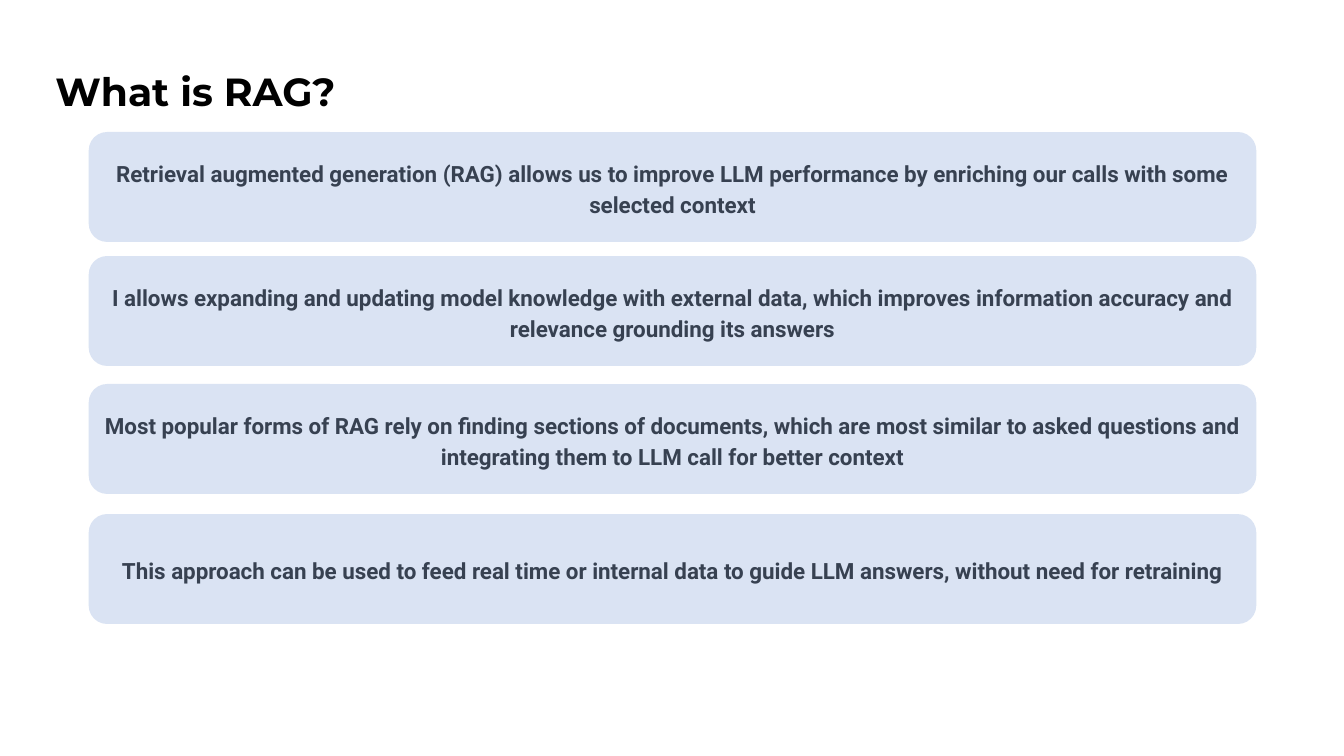
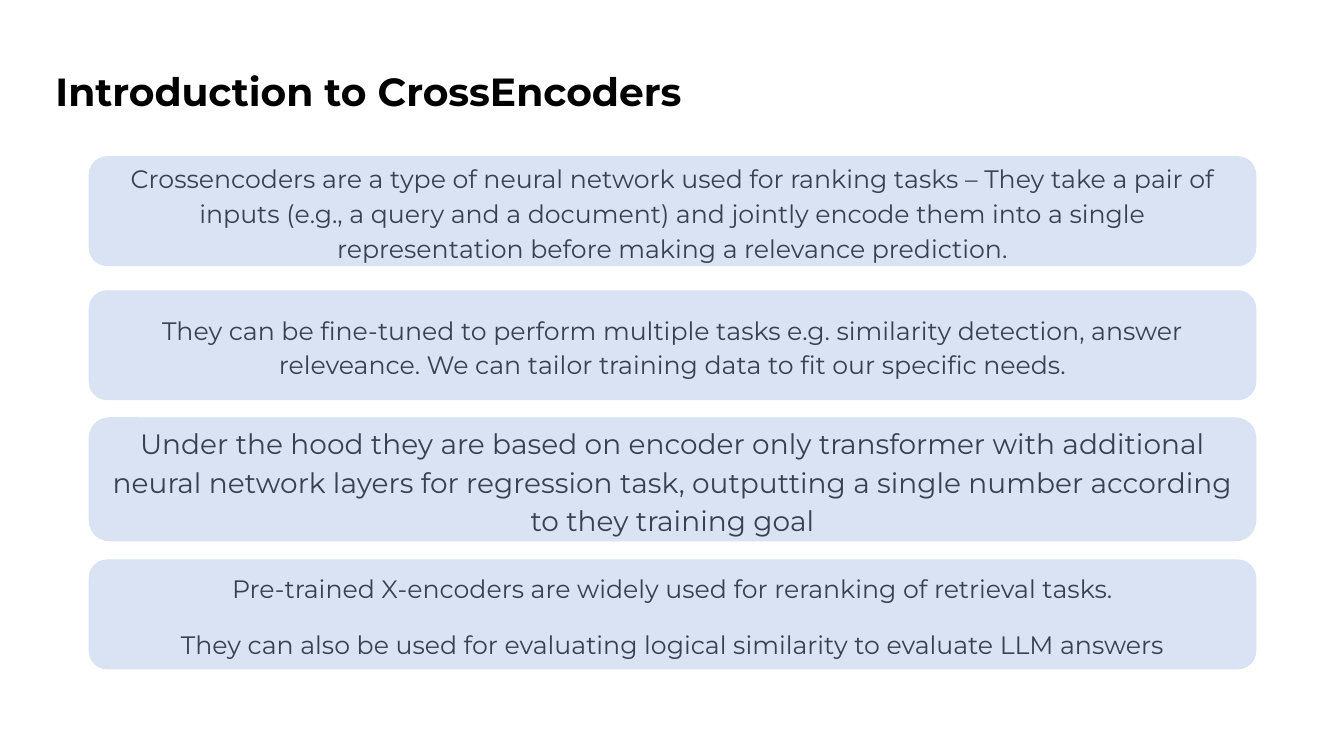
from dataclasses import dataclass

from pptx import Presentation
from pptx.dml.color import RGBColor
from pptx.enum.shapes import MSO_SHAPE as Shape
from pptx.enum.text import MSO_ANCHOR as Anchor, MSO_AUTO_SIZE as AutoSize, PP_ALIGN as Align
from pptx.presentation import Presentation as Deck
from pptx.text.text import TextFrame
from pptx.util import Emu, Pt

EMU_PER_PX = 9144  # 100 px to the inch


def px(n: int) -> Emu:
    return Emu(n * EMU_PER_PX)


@dataclass(frozen=True)
class Theme:
    background: str = "FFFFFF"
    title_color: str = "000000"
    card_fill: str = "DAE3F3"
    card_color: str = "374151"
    heading_font: str = "Montserrat"
    statement_font: str = "Roboto"
    title_size: int = 28
    small: int = 16
    medium: int = 18
    large: int = 20
    line_spacing: float = 1.15
    space_before: int = 15


@dataclass(frozen=True)
class Card:
    top: int
    paragraphs: tuple[str, ...]
    size: int
    height: int = 109


@dataclass(frozen=True)
class Page:
    title: str
    cards: tuple[Card, ...]
    font: str
    bold: bool = False


THEME = Theme()
SLIDE_W, SLIDE_H = 1333, 750
TITLE_BOX = (45, 62, 1244, 57)
CARD_LEFT, CARD_WIDTH = 88, 1158

PAGES = (
    Page("What is RAG?", (
        Card(131, ("Retrieval augmented generation (RAG) allows us to improve LLM performance "
                   "by enriching our calls with some selected context",), THEME.small),
        Card(254, ("I allows expanding and updating model knowledge with external data, which "
                   "improves information accuracy and relevance grounding its answers",), THEME.small),
        Card(381, ("Most popular forms of RAG rely on finding sections of documents, which are "
                   "most similar to asked questions and integrating them to LLM call for "
                   "better context",), THEME.small),
        Card(510, ("This approach can be used to feed real time or internal data to guide LLM "
                   "answers, without need for retraining",), THEME.small),
    ), THEME.statement_font, bold=True),
    Page("Introduction to CrossEncoders", (
        Card(155, ("Crossencoders are a type of neural network used for ranking tasks – They "
                   "take a pair of inputs (e.g., a query and a document) and jointly encode them "
                   "into a single representation before making a relevance prediction.",), THEME.medium),
        Card(288, ("They can be fine-tuned to perform multiple tasks e.g. similarity detection, "
                   "answer releveance. We can tailor training data to fit our specific needs.",),
             THEME.medium),
        Card(414, ("Under the hood they are based on encoder only transformer with additional "
                   "neural network layers for regression task, outputting a single number "
                   "according to they training goal",), THEME.large, height=123),
        Card(555, ("Pre-trained X-encoders are widely used for reranking of retrieval tasks.",
                   "They can also be used for evaluating logical similarity to evaluate LLM answers"),
             THEME.medium),
    ), THEME.heading_font),
)


def write(tf: TextFrame, *paragraphs: str, font: str, size: int, color: str,
          bold: bool = False, align: Align = Align.LEFT, anchor: Anchor = Anchor.TOP,
          line_spacing: float = 1.0, space_before: int = 0) -> None:
    tf.word_wrap = True
    tf.vertical_anchor = anchor
    for i, text in enumerate(paragraphs):
        p = tf.add_paragraph() if i else tf.paragraphs[0]
        p.alignment = align
        p.line_spacing = line_spacing
        p.space_before = Pt(space_before)
        r = p.add_run()
        r.text = text
        r.font.name = font
        r.font.size = Pt(size)
        r.font.bold = bold
        r.font.color.rgb = RGBColor.from_string(color)


def add_page(prs: Deck, page: Page) -> None:
    s = prs.slides.add_slide(prs.slide_layouts[5])
    title = s.shapes.title
    title.left, title.top, title.width, title.height = map(px, TITLE_BOX)
    write(title.text_frame, page.title, font=THEME.heading_font, size=THEME.title_size,
          color=THEME.title_color, bold=True)
    title.text_frame.auto_size = AutoSize.SHAPE_TO_FIT_TEXT

    for card in page.cards:
        sp = s.shapes.add_shape(Shape.ROUNDED_RECTANGLE, px(CARD_LEFT), px(card.top),
                                px(CARD_WIDTH), px(card.height))
        sp.shadow.inherit = False
        sp.fill.solid()
        sp.fill.fore_color.rgb = RGBColor.from_string(THEME.card_fill)
        sp.line.fill.background()
        write(sp.text_frame, *card.paragraphs, font=page.font, size=card.size,
              color=THEME.card_color, bold=page.bold, align=Align.CENTER,
              anchor=Anchor.MIDDLE, line_spacing=THEME.line_spacing,
              space_before=THEME.space_before)


def main() -> None:
    prs = Presentation()
    prs.slide_width, prs.slide_height = px(SLIDE_W), px(SLIDE_H)
    fill = prs.slide_master.background.fill
    fill.solid()
    fill.fore_color.rgb = RGBColor.from_string(THEME.background)
    for page in PAGES:
        add_page(prs, page)
    prs.save("out.pptx")


if __name__ == "__main__":
    main()
